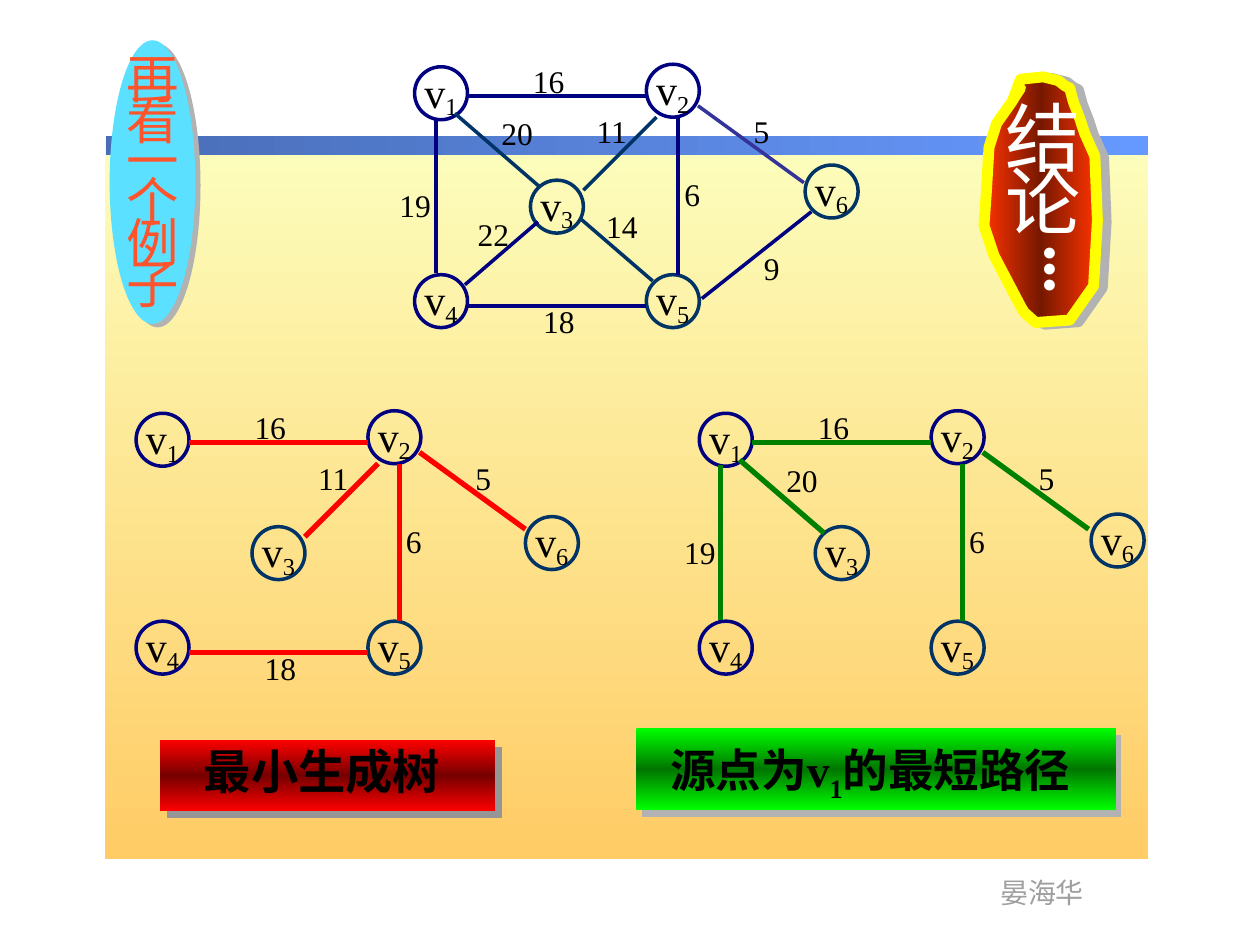
from lxml.etree import SubElement
from pptx import Presentation
from pptx.dml.color import RGBColor as RGB
from pptx.enum.shapes import MSO_CONNECTOR as LINE, MSO_SHAPE as SHAPE
from pptx.enum.text import MSO_ANCHOR as ANCHOR, MSO_AUTO_SIZE as AUTO, PP_ALIGN as ALIGN
from pptx.oxml.ns import qn
from pptx.util import Inches, Pt

HEX = {
    "cream": "FCFEBC", "sand": "FFCC66", "steel": "496DB6", "blue": "6699FF",
    "navy": "000080", "teal": "003366", "indigo": "333399", "red": "FF0000",
    "maroon": "760000", "green": "008000", "lime": "00FF00", "moss": "007600",
    "sky": "5BE0FF", "coral": "FF532B", "flame": "FF3300", "rust": "761800",
    "yellow": "FFFF00", "shade": "B2B2B2", "dim": "969696", "grey": "9F9F9F",
    "black": "000000", "white": "FFFFFF",
}
SERIF = "Times New Roman"

# Places are measured from the corner of node v1.
NODES = {
    1: (0, 0, "navy"), 2: (1.84, -0.02, "navy"), 3: (0.92, 0.9, "teal"),
    4: (0, 1.65, "navy"), 5: (1.84, 1.65, "teal"), 6: (3.1, 0.78, "teal"),
}
# weight: (start, end, label corner, colour)
EDGES = {
    16: ((0.42, 0.23), (1.84, 0.23), (0.84, -0.09), "navy"),
    19: ((0.17, 0.41), (0.17, 1.64), (-0.22, 0.9), "navy"),
    5: ((2.25, 0.31), (3.09, 0.92), (2.59, 0.31), "indigo"),
    18: ((0.42, 1.9), (1.84, 1.9), (0.92, 1.82), "navy"),
    6: ((2.09, 0.4), (2.09, 1.65), (2.04, 0.81), "navy"),
    9: ((2.28, 1.84), (3.15, 1.15), (2.67, 1.4), "navy"),
    20: ((0.32, 0.37), (0.99, 0.95), (0.59, 0.33), "teal"),
    22: ((0.4, 1.73), (0.98, 1.23), (0.4, 1.13), "navy"),
    14: ((1.31, 1.2), (1.89, 1.7), (1.42, 1.06), "teal"),
    11: ((1.34, 0.98), (1.92, 0.4), (1.34, 0.31), "teal"),
}
BADGE = [
    (8.1, 0.7), (8.06, 0.76), (8.03, 0.81), (7.91, 0.98), (7.85, 1.17),
    (7.83, 1.51), (7.81, 1.79), (7.89, 2.03), (8.1, 2.43), (8.13, 2.48),
    (8.22, 2.56), (8.49, 2.54), (8.68, 2.27), (8.71, 1.75), (8.69, 1.24),
    (8.61, 1.06), (8.57, 0.94), (8.52, 0.81), (8.49, 0.7), (8.45, 0.68),
    (8.4, 0.64), (8.28, 0.61), (8.1, 0.63), (8.04, 0.79),
]


def rgb(name):
    return RGB.from_string(HEX[name])


def cast(effects, color, dist, angle):
    """Put an outer shadow in an effect list."""
    drop = SubElement(effects, qn("a:outerShdw"), dist=str(int(Pt(dist))),
                      dir=str(angle * 60000), algn="ctr", rotWithShape="0")
    SubElement(drop, qn("a:srgbClr"), val=HEX[color])


def style(shape, fill=(), angle=0, line=None, width=2, shadow=None):
    """Paint with no, one or several evenly spread fill colours."""
    shape.shadow.inherit = False
    if len(fill) > 1:
        shape.fill.gradient()
        shape.fill.gradient_angle = -angle % 360
        stops = shape._element.spPr.find(qn("a:gradFill")).find(qn("a:gsLst"))
        stops.clear()
        for i, color in enumerate(fill):
            stop = SubElement(stops, qn("a:gs"), pos=str(100000 * i // (len(fill) - 1)))
            SubElement(stop, qn("a:srgbClr"), val=HEX[color])
    elif fill:
        shape.fill.solid()
        shape.fill.fore_color.rgb = rgb(fill[0])
    else:
        shape.fill.background()
    if line:
        shape.line.color.rgb = rgb(line)
        shape.line.width = Pt(width)
    else:
        shape.line.fill.background()
    if shadow:
        cast(shape._element.spPr.find(qn("a:effectLst")), *shadow)


def add(slide, kind, at, **look):
    shape = slide.shapes.add_shape(kind, *map(Inches, at))
    style(shape, **look)
    return shape


def write(shape, lines, size, color="black", font=SERIF, align=ALIGN.LEFT, wrap=False,
          bold=False, space=None, anchor=ANCHOR.TOP, shadow=None):
    """Fill with lines, each a list of (text, baseline) runs."""
    frame = shape.text_frame
    form = {"word_wrap": wrap, "auto_size": AUTO.NONE, "vertical_anchor": anchor}
    for key, value in form.items():
        setattr(frame, key, value)
    for i, runs in enumerate(lines):
        para = frame.add_paragraph() if i else frame.paragraphs[0]
        para.alignment = align
        if space:
            para.line_spacing = space
        for text, base in runs:
            run = para.add_run()
            run.text = text
            for key, value in {"size": Pt(size), "name": font, "bold": bold}.items():
                setattr(run.font, key, value)
            run.font.color.rgb = rgb(color)
            props = run._r.get_or_add_rPr()
            if base:
                props.set("baseline", str(base * 1000))
            if shadow:
                effects = SubElement(props, qn("a:effectLst"))
                props.find(qn("a:solidFill")).addnext(effects)
                cast(effects, shadow, 2, 45)


def label(slide, at, lines, size, **look):
    box = slide.shapes.add_textbox(*map(Inches, at))
    write(box, lines, size, **look)
    return box


def plain(text):
    """One line for each part of the text."""
    return [[(part, 0)] for part in text]


def node(slide, x, y, num, color):
    ring = add(slide, SHAPE.OVAL, (x, y, 0.42, 0.42), line=color)
    write(ring, [[("v", 0), (str(num), -18)]], 24, align=ALIGN.CENTER, anchor=ANCHOR.MIDDLE)


def link(slide, start, end, color, width):
    wire = slide.shapes.add_connector(LINE.STRAIGHT, *map(Inches, start + end))
    wire.line.color.rgb = rgb(color)
    wire.line.width = Pt(width)
    SubElement(wire._element.spPr, qn("a:effectLst"))


def graph(slide, x, y, edges, color=None, width=3, last=NODES[6][:2]):
    """Draw all nodes, v6 at last, and the edges of the given weights."""
    def move(spot):
        return x + spot[0], y + spot[1]

    for num, (dx, dy, tint) in NODES.items():
        node(slide, *move(last if num == 6 else (dx, dy)), num, tint)
    for weight in edges:
        start, end, _, tint = EDGES[weight]
        link(slide, move(start), move(end), color or tint, width)
    for weight in edges:
        wide = 0.45 if weight > 9 else 0.33
        label(slide, (*move(EDGES[weight][2]), wide, 0.4), plain([str(weight)]), 18,
              align=ALIGN.CENTER)


def heading(slide):
    add(slide, SHAPE.OVAL, (0.87, 0.32, 0.68, 2.25), fill=["sky"], shadow=("shade", 3.6, 34))
    title = slide.shapes.title
    places = dict(zip(("left", "top", "width", "height"), (0.9, 0.47, 1.25, 2.05)))
    for key, value in places.items():
        setattr(title, key, Inches(value))
    write(title, plain("再看一个例子"), 30, color="coral", wrap=True, space=0.65, shadow="black")
    slide.shapes._spTree.append(title._element)


def badge(slide):
    pen = slide.shapes.build_freeform(*map(Inches, BADGE[0]), scale=1.0)
    pen.add_line_segments([tuple(map(Inches, spot)) for spot in BADGE[1:]], close=True)
    style(pen.convert_to_shape(), fill=["flame", "rust", "flame"], line="yellow",
          width=6.25, shadow=("shade", 5.1, 11))
    label(slide, (7.88, 0.87, 1.25, 1.1), plain("结论"), 43, color="white", wrap=True,
          space=0.7, shadow="black")
    dots = label(slide, (7.97, 1.87, 0.67, 0.53), plain(["•••"]), 26, color="white",
                 align=ALIGN.CENTER, shadow="black")
    dots.rotation = 270


def main():
    deck = Presentation()
    deck.slide_width, deck.slide_height = Inches(10), Inches(7.5)
    slide = deck.slides.add_slide(deck.slide_layouts[5])

    add(slide, SHAPE.RECTANGLE, (0.83, 1.1, 8.28, 5.72), fill=["cream", "sand"], angle=90)
    add(slide, SHAPE.RECTANGLE, (0.84, 1.08, 8.27, 0.15), fill=["steel", "blue"])
    label(slide, (7.84, 6.9, 0.87, 0.37), plain(["晏海华"]), 16, color="grey",
          font="Arial Narrow")

    graph(slide, 3.29, 0.53, EDGES, width=2)
    graph(slide, 5.55, 3.28, (16, 19, 5, 6, 20), color="green", last=(3.11, 0.8))
    graph(slide, 1.08, 3.28, (16, 5, 18, 6, 11), color="red", last=(3.09, 0.82))

    add(slide, SHAPE.RECTANGLE, (5.05, 5.78, 3.81, 0.65), fill=["lime", "moss", "lime"],
        angle=90, shadow=("shade", 5, 53))
    label(slide, (5.22, 5.84, 4.03, 0.53), [[("源点为v", 0), ("1", -25), ("的最短路径", 0)]],
          26, wrap=True, bold=True)
    add(slide, SHAPE.RECTANGLE, (1.27, 5.87, 2.66, 0.57), fill=["red", "maroon", "red"],
        angle=90, shadow=("dim", 5.7, 45))
    label(slide, (1.52, 5.95, 2.37, 0.44), plain(["最小生成树"]), 27, wrap=True, bold=True,
          space=0.75, shadow="black")

    heading(slide)
    badge(slide)
    deck.save("out.pptx")


if __name__ == "__main__":
    main()
